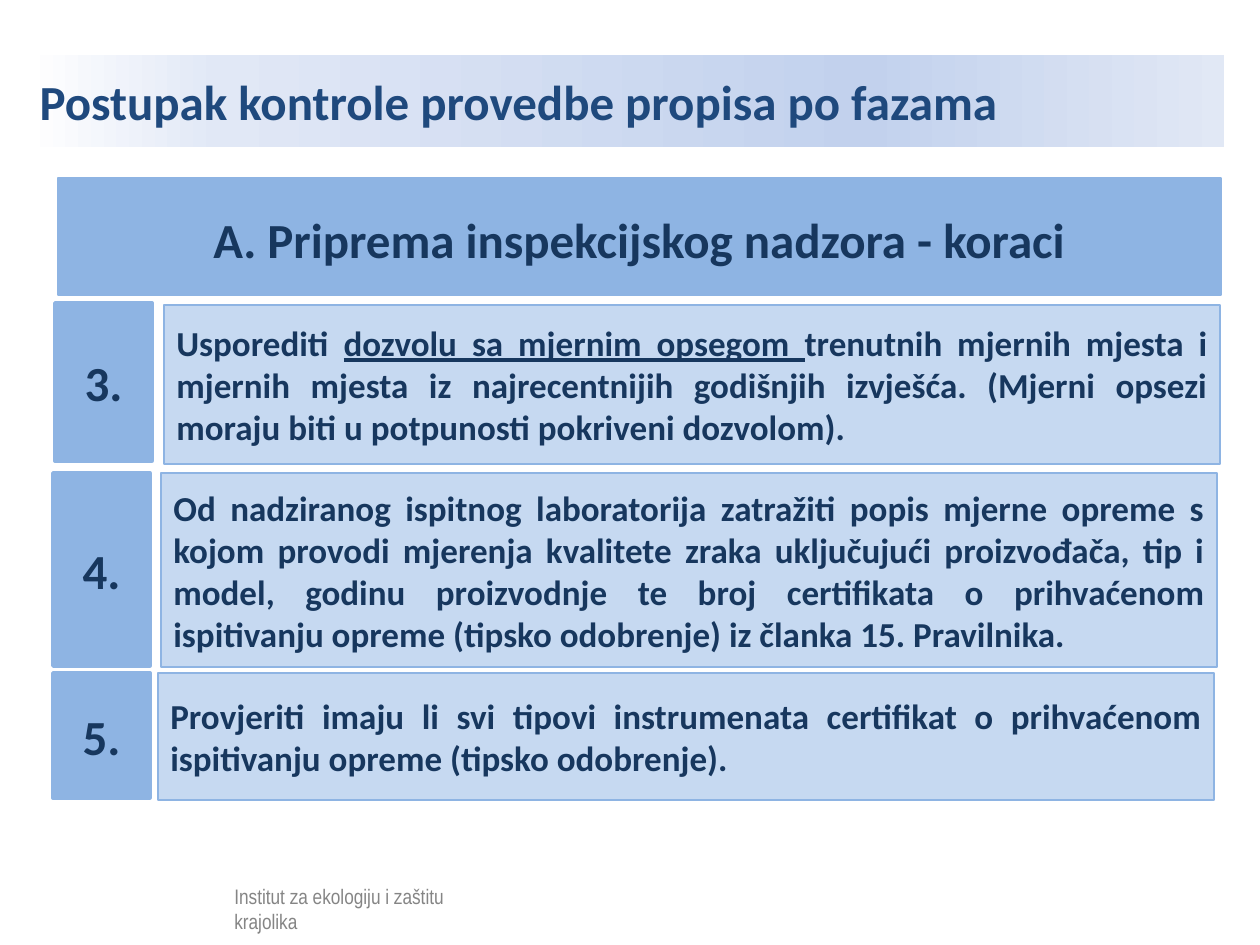
from copy import deepcopy
from dataclasses import dataclass

from lxml import etree
from pptx import Presentation
from pptx.dml.color import RGBColor
from pptx.enum.shapes import MSO_SHAPE
from pptx.enum.text import MSO_ANCHOR, MSO_AUTO_SIZE, PP_ALIGN
from pptx.oxml.ns import qn
from pptx.util import Emu, Pt

RECTANGLE = MSO_SHAPE.RECTANGLE
MIDDLE, TOP = MSO_ANCHOR.MIDDLE, MSO_ANCHOR.TOP
LEFT, CENTER, JUSTIFY = PP_ALIGN.LEFT, PP_ALIGN.CENTER, PP_ALIGN.JUSTIFY
NO_AUTOFIT = MSO_AUTO_SIZE.NONE

EMU_PER_PX = 914400 / 126
TITLE_ONLY_LAYOUT = 5
COLORS = {
    "title": "1F497D",
    "text": "17375E",
    "accent": "8EB4E3",
    "panel": "C6D9F1",
    "white": "FFFFFF",
    "black": "000000",
}
TITLE_GRADIENT = [(0, "FFFFFF"), (16, "E1E8F6"), (70, "C2D1ED"), (100, "E1E8F5")]


@dataclass(frozen=True)
class Box:
    left: int
    top: int
    width: int
    height: int


@dataclass(frozen=True)
class TextStyle:
    size: int
    color: str = "text"
    bold: bool = True
    font: str = "Calibri"
    align: PP_ALIGN = LEFT
    anchor: MSO_ANCHOR = MIDDLE


@dataclass(frozen=True)
class Step:
    label: str
    phrases: tuple[str, ...]
    number_box: Box
    text_box: Box
    underlined: int = -1


HEADING = TextStyle(28, align=CENTER)
BODY = TextStyle(20, align=JUSTIFY)
FOOTER = TextStyle(12, "black", False, "Arial Narrow", anchor=TOP)

STEPS = [
    Step(
        "3.",
        (
            "Usporediti ",
            "dozvolu sa mjernim opsegom ",
            "trenutnih mjernih mjesta i mjernih mjesta iz najrecentnijih godišnjih "
            "izvješća. (Mjerni opsezi moraju biti u potpunosti pokriveni dozvolom).",
        ),
        Box(55, 303, 97, 158),
        Box(164, 305, 1056, 159),
        underlined=1,
    ),
    Step(
        "4.",
        (
            "Od nadziranog ispitnog laboratorija zatražiti popis mjerne opreme s kojom "
            "provodi mjerenja kvalitete zraka uključujući proizvođača, tip i model, "
            "godinu proizvodnje te broj certifikata o prihvaćenom ispitivanju opreme "
            "(tipsko odobrenje) iz članka 15. Pravilnika.",
        ),
        Box(53, 473, 97, 193),
        Box(161, 473, 1056, 194),
    ),
    Step(
        "5.",
        (
            "Provjeriti imaju li svi tipovi instrumenata certifikat o prihvaćenom "
            "ispitivanju opreme (tipsko odobrenje).",
        ),
        Box(53, 673, 97, 125),
        Box(158, 673, 1056, 127),
    ),
]


def px(length: int) -> Emu:
    return Emu(round(length * EMU_PER_PX))


def bounds(box: Box) -> tuple[Emu, Emu, Emu, Emu]:
    return px(box.left), px(box.top), px(box.width), px(box.height)


def rgb(name: str) -> RGBColor:
    return RGBColor.from_string(COLORS[name])


def write(shape, phrases: tuple[str, ...], style: TextStyle, underlined: int = -1) -> None:
    text_frame = shape.text_frame
    text_frame.word_wrap = True
    text_frame.auto_size = NO_AUTOFIT
    text_frame.vertical_anchor = style.anchor
    paragraph = text_frame.paragraphs[0]
    paragraph.alignment = style.align
    for index, phrase in enumerate(phrases):
        run = paragraph.add_run()
        run.text = phrase
        run.font.name = style.font
        run.font.size = Pt(style.size)
        run.font.bold = style.bold
        run.font.color.rgb = rgb(style.color)
        if index == underlined:
            run.font.underline = True


def add_panel(slide, box: Box, fill: str, line_width: float = 0):
    shape = slide.shapes.add_shape(RECTANGLE, *bounds(box))
    shape.shadow.inherit = False
    shape.fill.solid()
    shape.fill.fore_color.rgb = rgb(fill)
    if line_width:
        shape.line.color.rgb = rgb("accent")
        shape.line.width = Pt(line_width)
    else:
        shape.line.fill.background()
    return shape


def add_label(slide, box: Box, text: str, style: TextStyle) -> None:
    write(slide.shapes.add_textbox(*bounds(box)), (text,), style)


def add_title(slide, box: Box, text: str) -> None:
    title = slide.shapes.title
    title.left, title.top, title.width, title.height = bounds(box)
    title.fill.gradient()
    title.fill.gradient_angle = 0
    stop_list = title._element.spPr.find(qn("a:gradFill")).find(qn("a:gsLst"))
    for _ in range(len(TITLE_GRADIENT) - len(stop_list)):
        stop_list.append(deepcopy(stop_list[0]))
    for stop, (position, color) in zip(title.fill.gradient_stops, TITLE_GRADIENT):
        stop.position = position / 100
        stop.color.rgb = RGBColor.from_string(color)
    write(title, (text,), TextStyle(28, "title"))


def add_step(slide, step: Step) -> None:
    panel = add_panel(slide, step.text_box, "panel", 1.5)
    write(panel, step.phrases, BODY, step.underlined)
    number = add_panel(slide, step.number_box, "accent", 2)
    write(number, (step.label,), HEADING)


def add_footer(slide) -> None:
    add_label(slide, Box(222, 877, 263, 32), "Institut za ekologiju i zaštitu krajolika", FOOTER)
    veil = add_panel(slide, Box(52, 873, 481, 60), "white")
    color = veil._element.spPr.find(qn("a:solidFill"))[0]
    etree.SubElement(color, qn("a:alpha")).set("val", "52000")


def main() -> None:
    presentation = Presentation()
    presentation.slide_width, presentation.slide_height = px(1260), px(945)
    slide = presentation.slides.add_slide(presentation.slide_layouts[TITLE_ONLY_LAYOUT])
    add_title(slide, Box(27, 55, 1197, 92), "Postupak kontrole provedbe propisa po fazama")
    add_footer(slide)
    add_panel(slide, Box(58, 178, 1163, 117), "accent", 1.5)
    add_label(slide, Box(58, 203, 1162, 72), "A. Priprema inspekcijskog nadzora - koraci", HEADING)
    for step in STEPS:
        add_step(slide, step)
    presentation.save("out.pptx")


if __name__ == "__main__":
    main()
